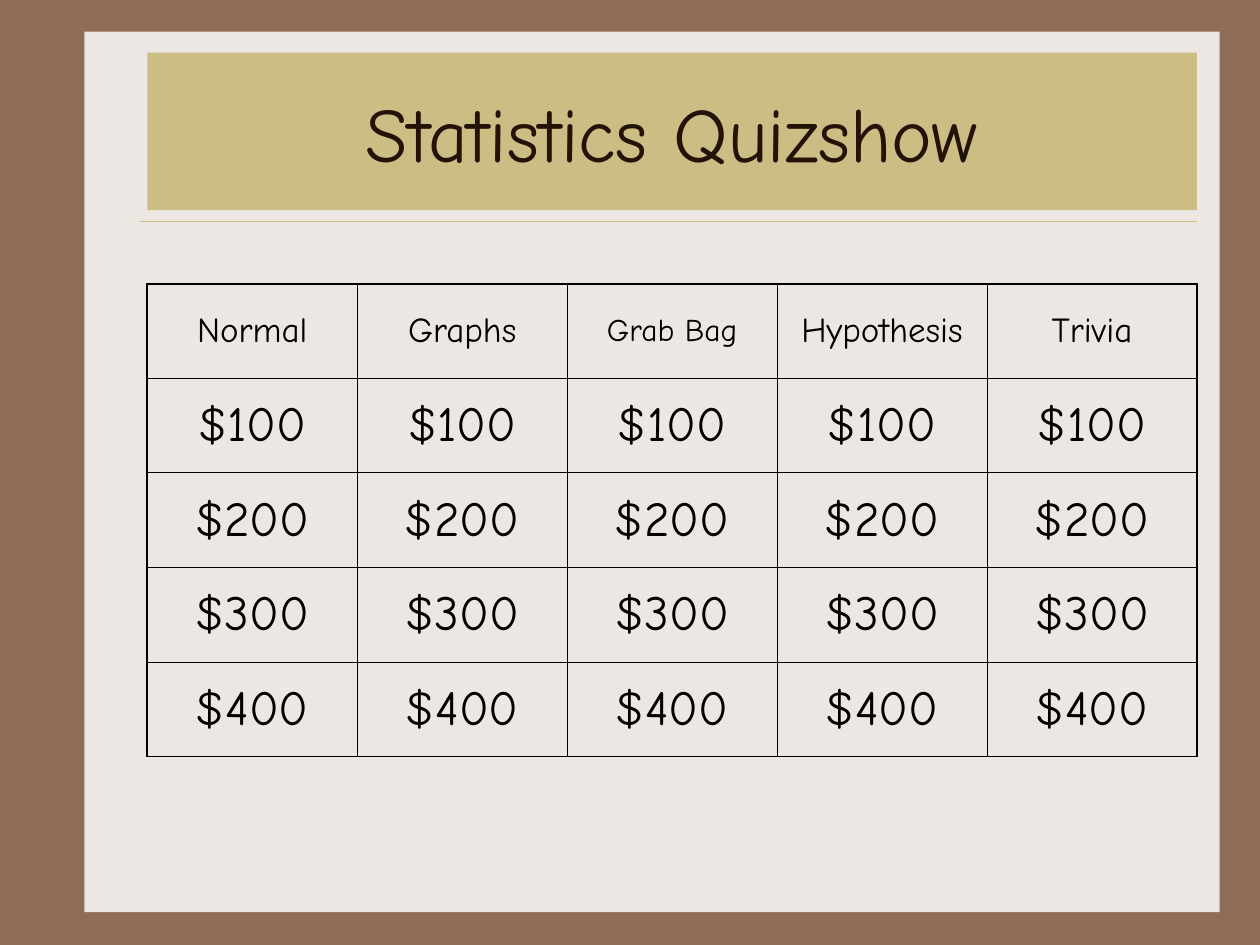
import pptx
import pptx.util
import pptx.dml.color
import pptx.enum.shapes
import pptx.enum.text
import pptx.oxml
import pptx.oxml.ns
from pptx.util import Cm

HUES = {"back": "906D58", "panel": "EDE7E3", "gold": "CBBD83", "title": "221304", "ink": "000000"}
TOPICS = ["Normal", "Graphs", "Grab Bag", "Hypothesis", "Trivia"]
PRIZES = ["$100", "$200", "$300", "$400"]
THIN, THICK = 0.45, 1.08


class Board:
    """Holds the style and the current slide, and draws each kind of element."""

    def __init__(self, deck, font):
        self.font = font
        self.slide = deck.slides.add_slide(deck.slide_layouts[6])
        self.paint(self.slide.background.fill, "back")

    def hue(self, name):
        return pptx.dml.color.RGBColor.from_string(HUES[name])

    def paint(self, fill, name):
        fill.solid()
        fill.fore_color.rgb = self.hue(name)

    def label(self, frame, text, size, name, gap=0):
        para = frame.paragraphs[0]
        para.alignment = pptx.enum.text.PP_ALIGN.CENTER
        para.space_before = pptx.util.Pt(gap)
        run = para.add_run()
        run.text = text
        run.font.name = self.font
        run.font.size = pptx.util.Pt(size)
        run.font.color.rgb = self.hue(name)

    def rect(self, left, top, width, height, name):
        box = self.slide.shapes.add_shape(
            pptx.enum.shapes.MSO_SHAPE.RECTANGLE, Cm(left), Cm(top), Cm(width), Cm(height))
        box.shadow.inherit = False
        self.paint(box.fill, name)
        box.line.fill.background()
        return box

    def title(self, text, *place):
        frame = self.rect(*place, "gold").text_frame
        frame.word_wrap = True
        frame.vertical_anchor = pptx.enum.text.MSO_ANCHOR.MIDDLE
        self.label(frame, text, 44, "title")

    def rule(self, left, right, top):
        line = self.slide.shapes.add_connector(
            pptx.enum.shapes.MSO_CONNECTOR.STRAIGHT, Cm(left), Cm(top), Cm(right), Cm(top))
        line.line.color.rgb = self.hue("gold")
        line.line.width = pptx.util.Pt(0.25)
        line._element.spPr.append(pptx.oxml.parse_xml(
            f'<a:effectLst {pptx.oxml.ns.nsdecls("a")}/>'))

    def edge(self, cell, sides):
        props = cell._tc.get_or_add_tcPr()
        for spot, (side, width) in enumerate(sides.items()):
            props.insert(spot, pptx.oxml.parse_xml(
                f'<a:ln{side} {pptx.oxml.ns.nsdecls("a")} w="{pptx.util.Pt(width)}">'
                f'<a:solidFill><a:srgbClr val="{HUES["ink"]}"/></a:solidFill></a:ln{side}>'))

    def grid(self, rows, left, top, width, height):
        table = self.slide.shapes.add_table(
            len(rows), len(rows[0]), Cm(left), Cm(top), Cm(width), Cm(height)).table
        table.first_row = table.horz_banding = False
        last = len(rows[0]) - 1
        for r, row in enumerate(rows):
            for c, (text, size) in enumerate(row):
                cell = table.cell(r, c)
                cell.fill.background()
                cell.vertical_anchor = pptx.enum.text.MSO_ANCHOR.MIDDLE
                self.label(cell.text_frame, text, size, "ink", size / 4)
                self.edge(cell, {
                    "L": THICK if c == 0 else THIN,
                    "R": THICK if c == last else THIN,
                    "T": THICK if r == 0 else THIN,
                    "B": THIN})


def main():
    deck = pptx.Presentation()
    deck.slide_width, deck.slide_height = Cm(25.4), Cm(19.05)
    board = Board(deck, "Comic Neue")
    board.rect(1.7, 0.64, 22.89, 17.75, "panel")
    board.rule(2.82, 24.13, 4.45)
    board.title("Statistics Quizshow", 2.97, 1.06, 21.16, 3.18)
    heads = [(topic, 18 if topic == "Grab Bag" else 20) for topic in TOPICS]
    prizes = [[(prize, 28)] * len(TOPICS) for prize in PRIZES]
    board.grid([heads] + prizes, 2.97, 5.72, 21.16, 9.53)
    deck.save("out.pptx")


if __name__ == "__main__":
    main()
